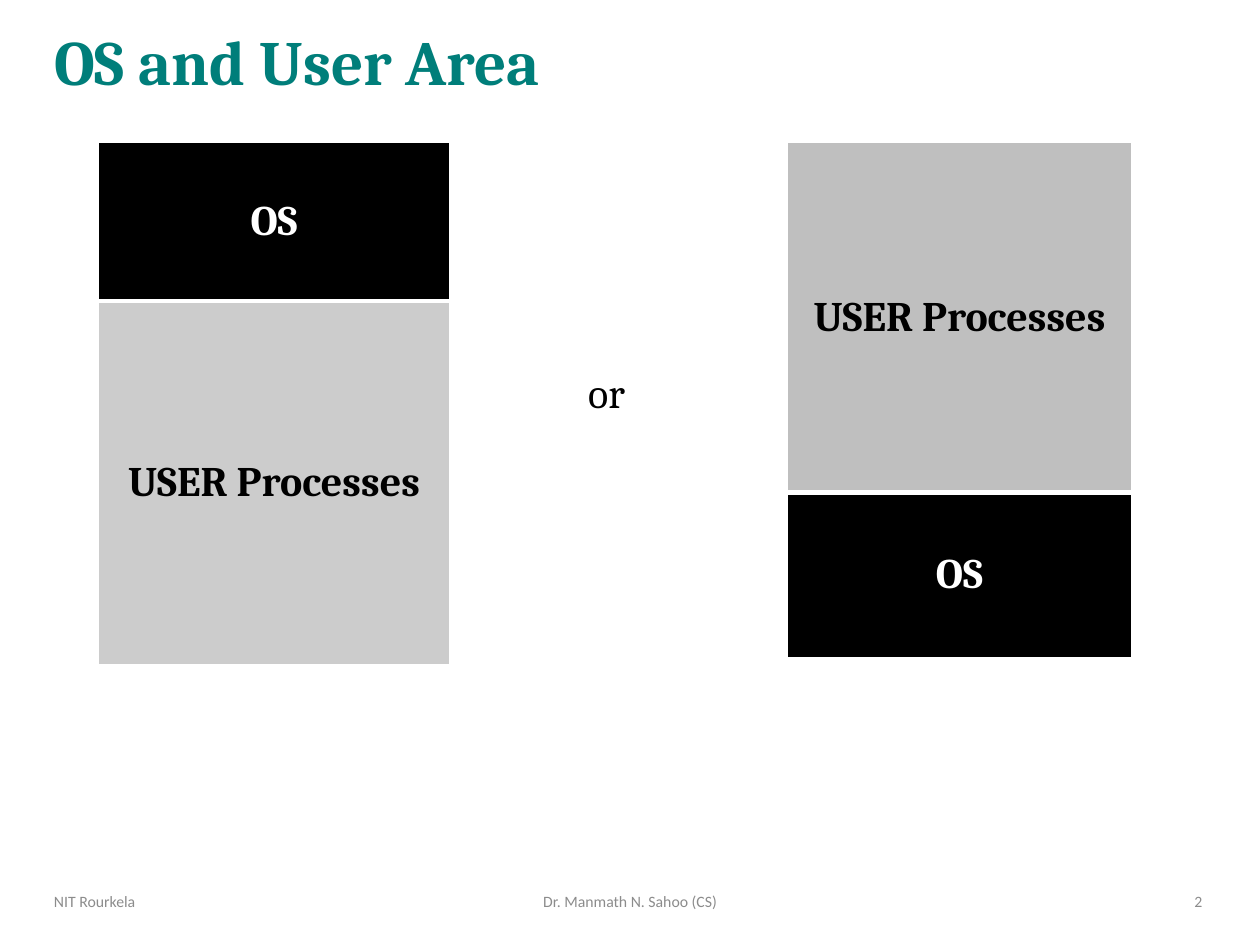
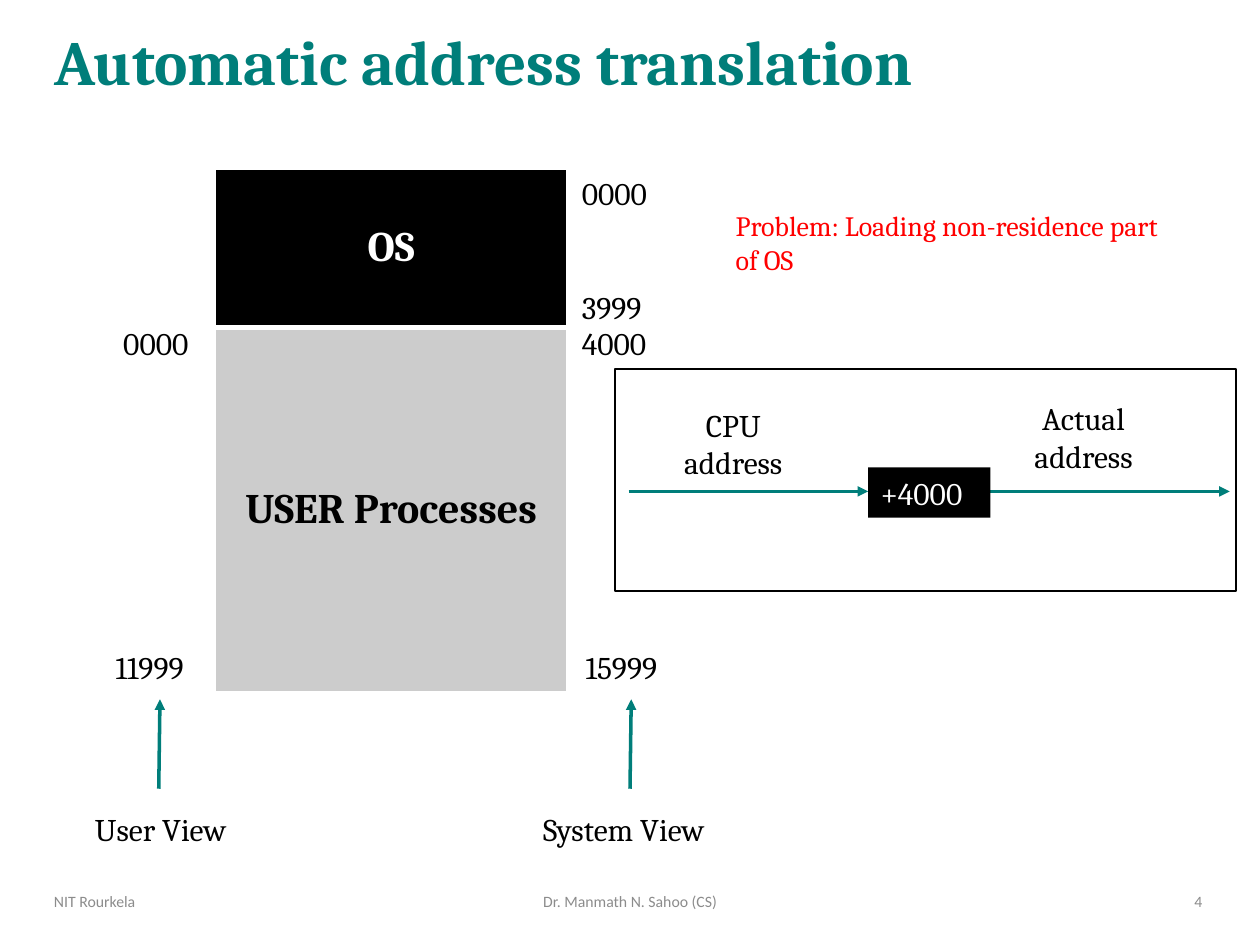
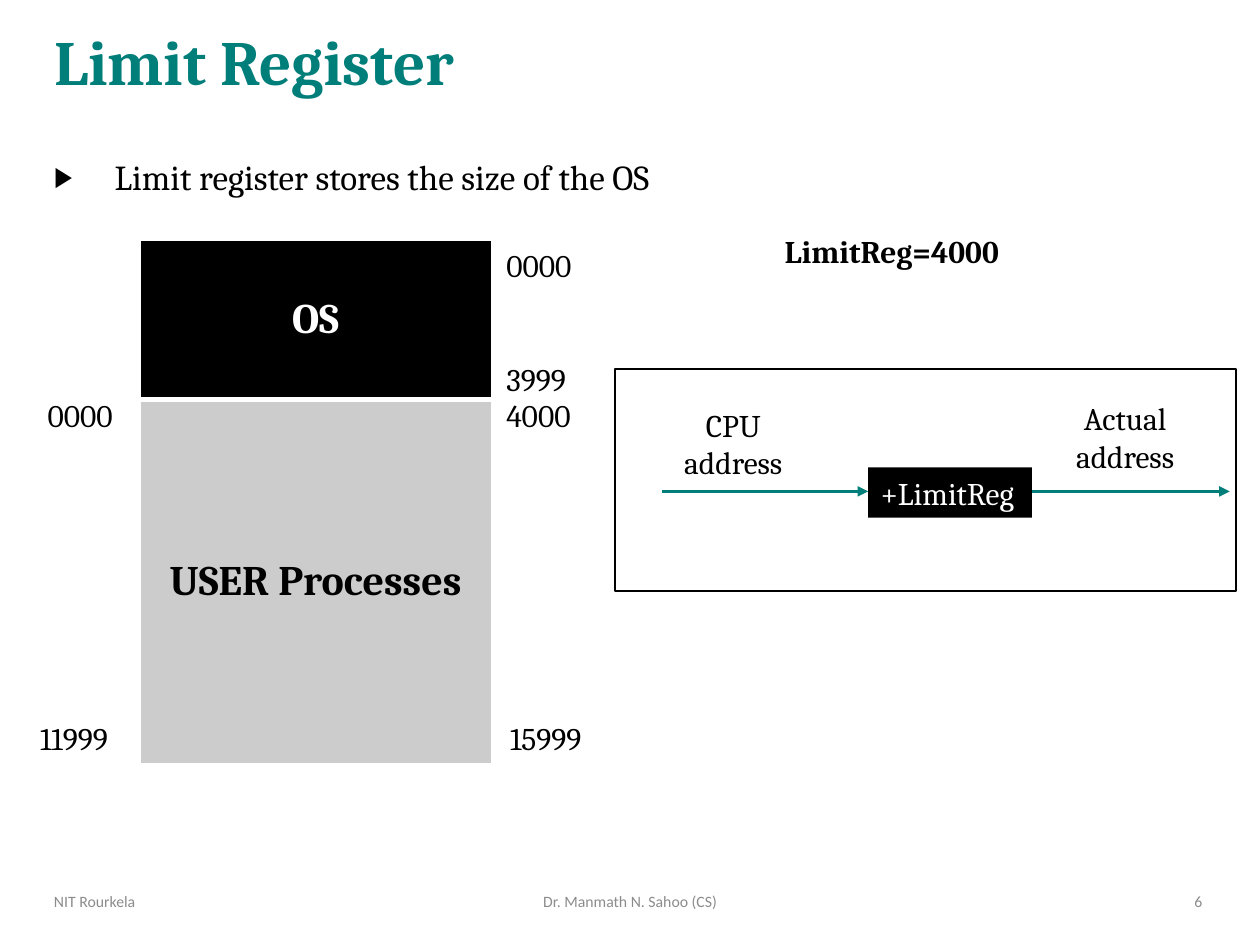
"""Build three slides on memory areas and address translation."""
from dataclasses import dataclass

from lxml.etree import SubElement
from pptx import Presentation
from pptx.dml.color import RGBColor
from pptx.enum.shapes import MSO_CONNECTOR, MSO_SHAPE
from pptx.enum.text import MSO_ANCHOR, MSO_AUTO_SIZE, PP_ALIGN
from pptx.oxml.ns import qn
from pptx.util import Inches, Pt


@dataclass(frozen=True)
class Theme:
    """Hold the colours, fonts and type sizes of the deck."""

    teal: str = "007E7A"
    black: str = "000000"
    white: str = "FFFFFF"
    user_gray: str = "CCCCCC"
    dark_gray: str = "BFBFBF"
    footer_gray: str = "8C8C8C"
    red: str = "FF0000"
    text_font: str = "Cambria"
    footer_font: str = "Calibri"
    title_size: int = 36
    block_size: int = 24
    list_size: int = 20
    label_size: int = 18
    note_size: int = 16
    footer_size: int = 9


THEME = Theme()
TITLE_BOX = (0.33, 0.04, 9.3, 0.96)
TRANSLATION_BOX = (4.88, 2.93, 4.93, 1.76)
FOOTER_TOP, FOOTER_HEIGHT = 6.95, 0.4
LABEL_HEIGHT = 0.4
OS_ROW = ("OS", 1.26, THEME.black, THEME.white)
USER_ROW = ("USER Processes", 2.89, THEME.user_gray, THEME.black)


def set_attributes(target, values):
    """Set each named value on the target."""
    for name, value in values.items():
        setattr(target, name, value)


def place(shape, box):
    """Move a shape to a box given in inches."""
    names = ("left", "top", "width", "height")
    set_attributes(shape, dict(zip(names, map(Inches, box))))


def write(frame, text, size=THEME.label_size, color=THEME.black, bold=False,
          align=PP_ALIGN.LEFT, font=THEME.text_font, **paragraph_format):
    """Fill a text frame with one formatted paragraph."""
    paragraph = frame.paragraphs[0]
    paragraph.text = text
    set_attributes(paragraph, {"alignment": align, **paragraph_format})
    set_attributes(paragraph.font, {"name": font, "size": Pt(size), "bold": bold})
    paragraph.font.color.rgb = RGBColor.from_string(color)


def add_text(slide, text, box, anchor=MSO_ANCHOR.TOP, **text_format):
    """Add a wrapping text box."""
    frame = slide.shapes.add_textbox(*map(Inches, box)).text_frame
    set_attributes(frame, {"word_wrap": True, "vertical_anchor": anchor})
    write(frame, text, **text_format)


def add_rectangle(slide, box, fill=None, line=None):
    """Add a flat rectangle with an optional fill and outline."""
    shape = slide.shapes.add_shape(MSO_SHAPE.RECTANGLE, *map(Inches, box))
    shape.shadow.inherit = False
    if fill:
        shape.fill.solid()
        shape.fill.fore_color.rgb = RGBColor.from_string(fill)
    else:
        shape.fill.background()
    if line:
        shape.line.color.rgb = RGBColor.from_string(line)
        shape.line.width = Pt(1)
    else:
        shape.line.fill.background()
    return shape


def add_arrow(slide, start, end):
    """Add a teal arrow between two points."""
    arrow = slide.shapes.add_connector(
        MSO_CONNECTOR.STRAIGHT, *map(Inches, (*start, *end)))
    arrow.line.color.rgb = RGBColor.from_string(THEME.teal)
    arrow.line.width = Pt(2)
    SubElement(arrow.line._get_or_add_ln(), qn("a:tailEnd"), type="triangle")
    SubElement(arrow._element.spPr, qn("a:effectLst"))


def add_cell_borders(cell, widths):
    """Draw white borders of the given widths around a cell."""
    properties = cell._tc.get_or_add_tcPr()
    for side, width in widths.items():
        line = SubElement(properties, qn(f"a:ln{side}"), w=str(Pt(width)))
        fill = SubElement(line, qn("a:solidFill"))
        SubElement(fill, qn("a:srgbClr"), val=THEME.white)


def add_memory_blocks(slide, left, top, width, rows):
    """Add a one-column table of stacked memory areas."""
    total = sum(height for _, height, _, _ in rows)
    table = slide.shapes.add_table(
        len(rows), 1, *map(Inches, (left, top, width, total))).table
    for index, (text, height, fill, color) in enumerate(rows):
        table.rows[index].height = Inches(height)
        cell = table.cell(index, 0)
        add_cell_borders(cell, {"L": 1, "R": 1, "T": 3 if index else 1,
                                "B": 1 if index else 3})
        cell.fill.solid()
        cell.fill.fore_color.rgb = RGBColor.from_string(fill)
        cell.vertical_anchor = MSO_ANCHOR.MIDDLE
        write(cell.text_frame, text, THEME.block_size, color, True, PP_ALIGN.CENTER)


def add_memory_map(slide, left, top):
    """Add the memory blocks with user and system addresses beside them."""
    add_memory_blocks(slide, left, top, 2.79, (OS_ROW, USER_ROW))
    addresses = (
        ("0000", 2.81, -0.01), ("3999", 2.81, 0.9), ("4000", 2.81, 1.18),
        ("15999", 2.84, 3.75), ("0000", -0.83, 1.18), ("11999", -0.89, 3.75),
    )
    for text, across, down in addresses:
        width = 0.9 if len(text) == 5 else 0.76
        add_text(slide, text, (left + across, top + down, width, LABEL_HEIGHT))


def add_translation(slide, box, register, register_width, arrow_start):
    """Add the framed path from CPU address to actual address."""
    left, top, _, _ = box
    register_left = left + 2.01
    register_right = register_left + register_width
    arrow_top = top + 0.97
    add_rectangle(slide, box, line=THEME.black)
    add_arrow(slide, (left + arrow_start, arrow_top), (register_left, arrow_top))
    add_arrow(slide, (register_right, arrow_top), (left + 4.88, arrow_top))
    shape = add_rectangle(
        slide, (register_left, top + 0.78, register_width, LABEL_HEIGHT), THEME.black)
    write(shape.text_frame, register, color=THEME.white)
    for text, label_left, label_top in (
            ("CPU address", left + 0.37, top + 0.24),
            ("Actual address", register_right + 0.17, top + 0.19)):
        add_text(slide, text, (label_left, label_top, 1.14, 0.71),
                 align=PP_ALIGN.CENTER)


def add_view(slide, text, box, arrow_offset):
    """Add a view label with an arrow rising from above it."""
    left, top, _, _ = box
    arrow_left = left + arrow_offset
    add_text(slide, text, box, align=PP_ALIGN.CENTER)
    add_arrow(slide, (arrow_left, top - 0.12), (arrow_left + 0.01, top - 0.83))


def add_footer(slide, number):
    """Add the institute, lecturer and slide number."""
    for text, left, width, align in (
            ("NIT Rourkela", 0.33, 2.6, PP_ALIGN.LEFT),
            ("Dr. Manmath N. Sahoo (CS)", 3.31, 3.38, PP_ALIGN.CENTER),
            (str(number), 7.27, 2.37, PP_ALIGN.RIGHT)):
        add_text(slide, text, (left, FOOTER_TOP, width, FOOTER_HEIGHT),
                 MSO_ANCHOR.MIDDLE, size=THEME.footer_size,
                 color=THEME.footer_gray, align=align, font=THEME.footer_font)


def add_base_slide(presentation, layout, title, number):
    """Add a slide with its title and footer."""
    slide = presentation.slides.add_slide(
        presentation.slide_layouts.get_by_name(layout))
    shape = slide.shapes.title
    place(shape, TITLE_BOX)
    set_attributes(shape.text_frame, {"vertical_anchor": MSO_ANCHOR.MIDDLE,
                                      "auto_size": MSO_AUTO_SIZE.NONE})
    write(shape.text_frame, title, THEME.title_size, THEME.teal, True,
          line_spacing=0.9)
    add_footer(slide, number)
    return slide


def add_bullet(shape, text, box):
    """Write one bulleted line in the body placeholder."""
    place(shape, box)
    shape.text_frame.auto_size = MSO_AUTO_SIZE.NONE
    properties = shape.text_frame.paragraphs[0]._p.get_or_add_pPr()
    indent = Inches(0.48)
    properties.set("marL", str(indent))
    properties.set("indent", str(-indent))
    SubElement(properties, qn("a:buSzPct"), val="80000")
    SubElement(properties, qn("a:buChar"), char="▶")
    write(shape.text_frame, text, THEME.list_size, align=PP_ALIGN.JUSTIFY,
          line_spacing=1.2, space_before=Pt(0), space_after=Pt(10))


def build_areas(presentation):
    """Build the slide with the two memory arrangements."""
    slide = add_base_slide(presentation, "Title Only", "OS and User Area", 2)
    add_memory_blocks(slide, 0.78, 1.13, 2.79, (OS_ROW, USER_ROW))
    add_memory_blocks(slide, 6.25, 1.13, 2.73, (
        ("USER Processes", 2.78, THEME.dark_gray, THEME.black),
        ("OS", 1.31, THEME.black, THEME.white)))
    add_text(slide, "or", (4.57, 2.86, 0.69, 0.5), size=THEME.block_size)


def build_address_translation(presentation):
    """Build the slide on automatic address translation."""
    slide = add_base_slide(
        presentation, "Title Only", "Automatic address translation", 4)
    add_memory_map(slide, 1.71, 1.34)
    add_view(slide, "User View", (0.54, 6.38, 1.47, LABEL_HEIGHT), 0.72)
    add_view(slide, "System View", (4.16, 6.38, 1.58, LABEL_HEIGHT), 0.84)
    add_translation(slide, TRANSLATION_BOX, "+4000", 0.97, 0.11)
    add_text(slide, "Problem: Loading non-residence part of OS",
             (5.74, 1.61, 3.55, 0.64), size=THEME.note_size, color=THEME.red,
             align=PP_ALIGN.JUSTIFY)


def build_limit_register(presentation):
    """Build the slide on the limit register."""
    slide = add_base_slide(presentation, "Title and Content", "Limit Register", 6)
    add_bullet(slide.placeholders[1], "Limit register stores the size of the OS",
               (0.33, 1.12, 9.3, 0.75))
    add_memory_map(slide, 1.11, 1.91)
    add_translation(slide, TRANSLATION_BOX, "+LimitReg", 1.3, 0.37)
    add_text(slide, "LimitReg=4000", (6.13, 1.79, 2.06, LABEL_HEIGHT), bold=True)


def main():
    """Build and save the presentation."""
    presentation = Presentation()
    set_attributes(presentation, {"slide_width": Inches(10),
                                  "slide_height": Inches(7.5)})
    for build in (build_areas, build_address_translation, build_limit_register):
        build(presentation)
    presentation.save("out.pptx")


if __name__ == "__main__":
    main()
